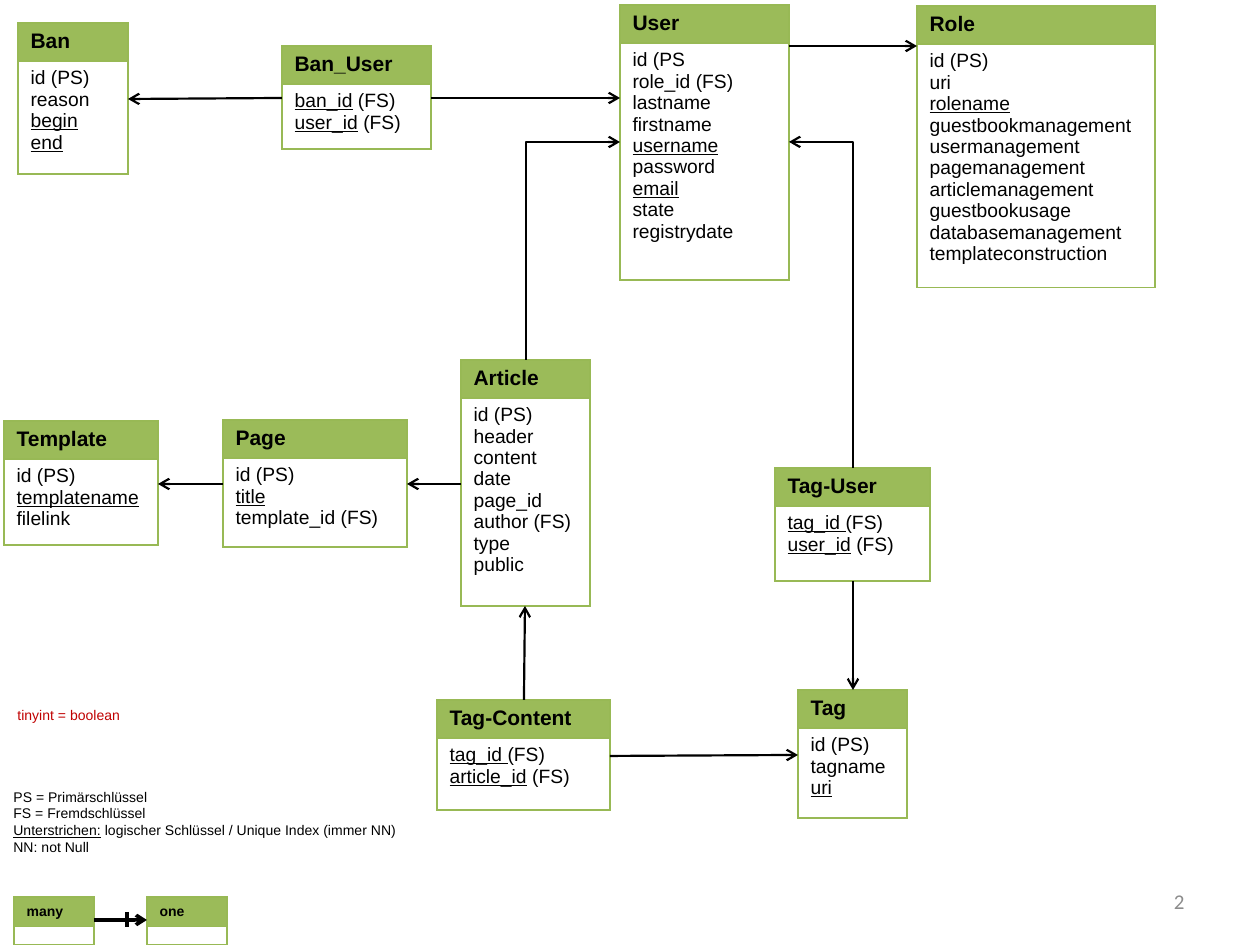
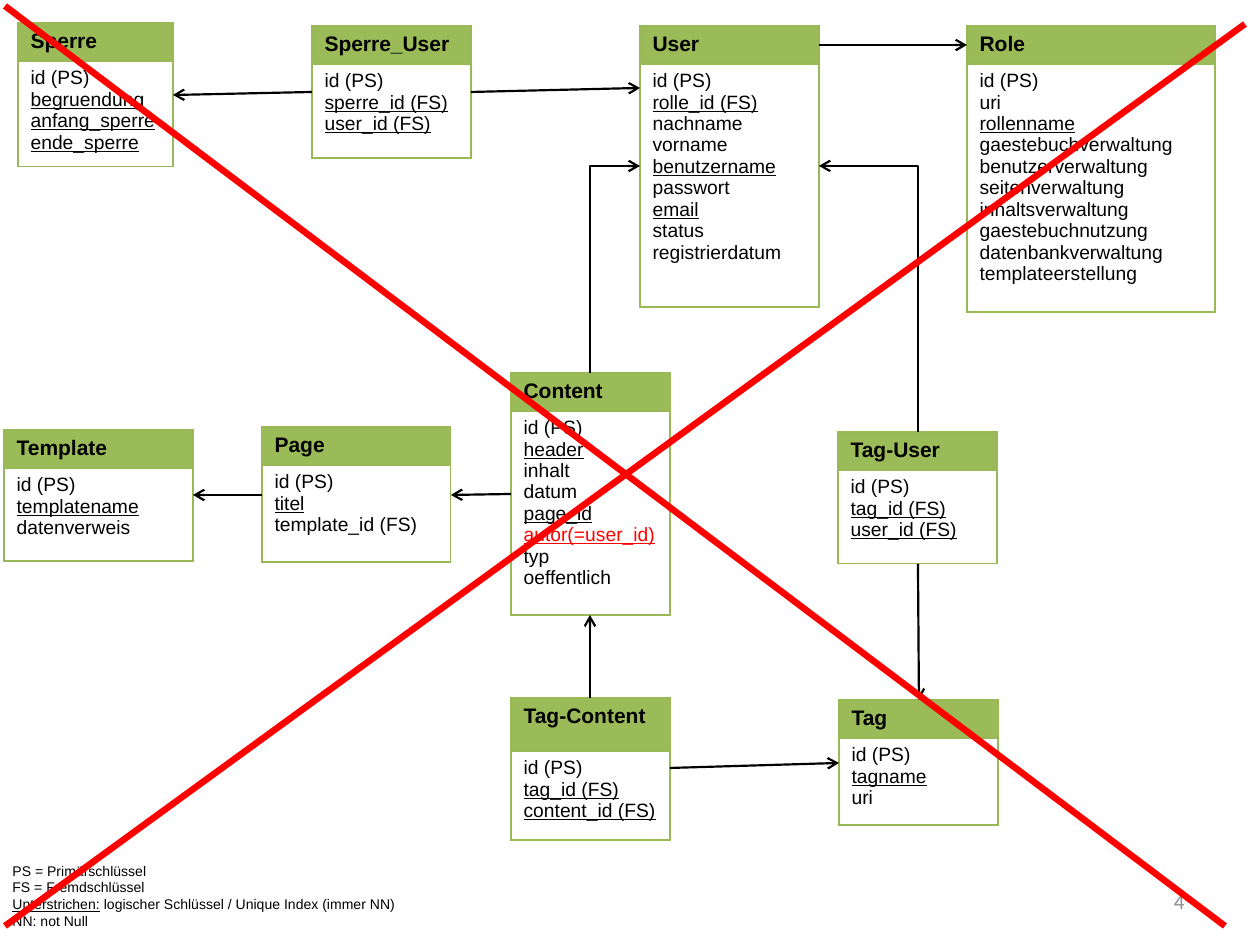
from pptx import Presentation, util as u
from pptx.dml.color import RGBColor
from pptx.enum import shapes, text
from pptx.oxml.ns import qn
from lxml import etree

SCALE = 914400 // 126  # EMU per pixel
COLORS = {"header": "9BBB59", "border": "98B955", "ink": "000000", "note": "C00000",
          "red": "FF0000", "number": "8C8C8C"}
HEADER = 38
KEY_TEXT = ["PS = Primärschlüssel", "FS = Fremdschlüssel",
            "*Unterstrichen:* logischer Schlüssel / Unique Index (immer NN)", "NN: not Null"]


def px(*lengths):
    return [u.Emu(round(length * SCALE)) for length in lengths]


def color(name):
    return RGBColor.from_string(COLORS[name])


# ---- Text: *stars* underline, a leading ! turns the line red ----
def write(frame, lines, size, ink="ink", font="Arial", bold=False, align=None):
    for index, line in enumerate(lines):
        paragraph = frame.paragraphs[0] if index == 0 else frame.add_paragraph()
        paragraph.alignment = align
        line_ink = "red" if line.startswith("!") else ink
        for part, words in enumerate(line.lstrip("!").split("*")):
            if not words:
                continue
            run = paragraph.add_run()
            run.text = words
            formats = {"name": font, "size": u.Pt(size), "bold": bold,
                       "underline": part % 2 == 1}
            for key, value in formats.items():
                setattr(run.font, key, value)
            run.font.color.rgb = color(line_ink)


def add_text(slide, box, lines, size, wrap=True, anchor=text.MSO_ANCHOR.TOP, **formats):
    frame = slide.shapes.add_textbox(*px(*box)).text_frame
    frame.word_wrap = wrap
    frame.vertical_anchor = anchor
    write(frame, lines, size, **formats)


# ---- Lines ----
def add_line(parent, start, end, ink="ink", width=1.25, arrow=True,
             kind=shapes.MSO_CONNECTOR.STRAIGHT):
    line = parent.shapes.add_connector(kind, *px(*start, *end))
    line.line.width = u.Pt(width)
    line.line.color.rgb = color(ink)
    properties = line._element.spPr
    if arrow:
        etree.SubElement(properties.find(qn("a:ln")), qn("a:tailEnd"), type="arrow")
    etree.SubElement(properties, qn("a:effectLst"))
    return line


def add_corner(slide, start, end):
    """One bend, up and then sideways: a quarter-turned two-part connector."""
    middle_x, middle_y = (start[0] + end[0]) / 2, (start[1] + end[1]) / 2
    run, rise = (end[0] - start[0]) / 2, (start[1] - end[1]) / 2
    line = add_line(slide, (middle_x - rise, middle_y - run), (middle_x + rise, middle_y + run),
                    kind=shapes.MSO_CONNECTOR.ELBOW)
    properties = line._element.spPr
    properties.find(qn("a:xfrm")).set("rot", "16200000")
    properties.find(qn("a:prstGeom")).set("prst", "bentConnector2")


def link(slide, source, target, kind, first, second):
    """Join facing edges; first and second are the free coordinates at each end."""
    left, top, width, height = source
    to_left, to_top, to_width, to_height = target
    rightward, downward = to_left > left, to_top > top
    start_x, end_x = (left + width, to_left) if rightward else (left, to_left + to_width)
    start_y, end_y = (top + height, to_top) if downward else (top, to_top + to_height)
    if kind == "across":
        add_line(slide, (start_x, first), (end_x, second))
    elif kind == "upright":
        add_line(slide, (first, start_y), (second, end_y))
    else:
        add_corner(slide, (first, top), (end_x, second))


# ---- Entity: a table with a name row and a field row ----
def add_borders(cell):
    properties = cell._tc.get_or_add_tcPr()
    for index, side in enumerate(("lnL", "lnR", "lnT", "lnB")):
        border = etree.Element(qn("a:" + side), w=str(u.Pt(0.75)))
        fill = etree.SubElement(border, qn("a:solidFill"))
        etree.SubElement(fill, qn("a:srgbClr"), val=COLORS["border"])
        properties.insert(index, border)


def add_entity(slide, box, name, fields, header=HEADER, size=12):
    table = slide.shapes.add_table(2, 1, *px(*box)).table
    table.first_row = table.horz_banding = False
    table.rows[0].height, table.rows[1].height = px(header, box[3] - header)
    title, body = table.cell(0, 0), table.cell(1, 0)
    title.fill.solid()
    title.fill.fore_color.rgb = color("header")
    body.fill.background()
    write(title.text_frame, [name], size, bold=True)
    if fields:
        write(body.text_frame, fields, 11)
    else:
        body.margin_top = body.margin_bottom = 0
        etree.SubElement(body.text_frame.paragraphs[0]._p, qn("a:endParaRPr"), sz="400")
    for cell in (title, body):
        add_borders(cell)


# ---- Slide parts ----
def add_diagram(slide, entities, links):
    for name, (box, fields, *header) in entities.items():
        add_entity(slide, box, name, fields, *header)
    for source, target, *route in links:
        link(slide, entities[source][0], entities[target][0], *route)


def add_cardinality(slide, left, top):
    width, gap, height, header = 80, 53, 47, 29
    for index, name in enumerate(("many", "one")):
        box = (left + index * (width + gap), top, width, height)
        add_entity(slide, box, name, [], header, 8)
    middle, start = top + 23, left + width
    add_line(slide, (start, middle), (start + gap, middle), width=2,
             kind=shapes.MSO_CONNECTOR.ELBOW)
    add_line(slide, (start + 33, middle - 8), (start + 33, middle + 7), width=2, arrow=False)


def add_cross(slide):
    group = slide.shapes.add_group_shape()
    for start, end in (((5, 6), (1225, 926)), ((5, 926), (1245, 24))):
        line = group.shapes.add_connector(shapes.MSO_CONNECTOR.STRAIGHT, *px(*start, *end))
        line.line.width = u.Pt(3.75)
        line.line.color.rgb = color("red")
        etree.SubElement(line._element.spPr, qn("a:effectLst"))


def add_schema_slide(presentation, number, entities, links, key_box):
    slide = presentation.slides.add_slide(presentation.slide_layouts[6])
    add_text(slide, (903, 876, 294, 50), [number], 12, anchor=text.MSO_ANCHOR.MIDDLE,
             ink="number", font="Calibri", align=text.PP_ALIGN.RIGHT)
    add_diagram(slide, entities, links)
    add_text(slide, key_box, KEY_TEXT, 8)
    return slide


# ---- Current schema ----
ENTITIES = {
    "Ban_User": ((282, 46, 149, 103), ["*ban_id* (FS)", "*user_id* (FS)"]),
    "Ban": ((18, 23, 110, 151), ["id (PS)", "reason", "*begin*", "*end*"]),
    "User": ((620, 5, 169, 275), ["id (PS", "role_id (FS)", "lastname", "firstname", "*username*",
                                  "password", "*email*", "state", "registrydate"]),
    "Role": ((917, 6, 238, 281), ["id (PS)", "uri", "*rolename*", "guestbookmanagement",
                                  "usermanagement", "pagemanagement", "articlemanagement",
                                  "guestbookusage", "databasemanagement",
                                  "templateconstruction"]),
    "Article": ((461, 360, 129, 246), ["id (PS)", "header", "content", "date", "page_id",
                                       "author (FS)", "type", "public"]),
    "Page": ((223, 420, 184, 127), ["id (PS)", "*title*", "template_id (FS)"]),
    "Template": ((4, 421, 154, 124), ["id (PS)", "*templatename*", "filelink"]),
    "Tag-User": ((775, 468, 155, 113), ["*tag_id *(FS)", "*user_id* (FS)"]),
    "Tag-Content": ((437, 700, 173, 110), ["*tag_id *(FS)", "*article_id* (FS)"]),
    "Tag": ((798, 690, 109, 128), ["id (PS)", "tagname", "*uri*"]),
}
LINKS = [
    ("Ban_User", "User", "across", 98, 98),
    ("User", "Role", "across", 46, 46),
    ("Tag-User", "User", "corner", 853, 142),
    ("Tag-User", "Tag", "upright", 853, 853),
    ("Tag-Content", "Tag", "across", 756, 755),
    ("Tag-Content", "Article", "upright", 524, 525),
    ("Article", "User", "corner", 526, 142),
    ("Article", "Page", "across", 484, 484),
    ("Page", "Template", "across", 484, 484),
    ("Ban_User", "Ban", "across", 98, 99),
]

# ---- Discarded schema ----
OLD_ENTITIES = {
    "Sperre_User": ((312, 26, 159, 132), ["id (PS)", "*sperre_id (FS)*", "*user_id (FS)*"]),
    "Sperre": ((18, 23, 155, 143), ["id (PS)", "*begruendung*", "*anfang_sperre*",
                                    "*ende_sperre*"]),
    "User": ((640, 26, 179, 281), ["id (PS)", "*rolle_id (FS)*", "nachname", "vorname",
                                   "*benutzername*", "passwort", "*email*", "status",
                                   "registrierdatum"]),
    "Role": ((967, 26, 248, 286), ["id (PS)", "uri", "*rollenname*", "gaestebuchverwaltung",
                                   "benutzerverwaltung", "seitenverwaltung",
                                   "inhaltsverwaltung", "gaestebuchnutzung",
                                   "datenbankverwaltung", "templateerstellung"]),
    "Content": ((511, 373, 159, 242), ["id (PS)", "*header*", "inhalt", "datum", "*page_id*",
                                       "!*autor(=user_id)*", "typ", "oeffentlich"]),
    "Page": ((262, 427, 189, 135), ["id (PS)", "*titel*", "template_id (FS)"]),
    "Template": ((4, 430, 189, 131), ["id (PS)", "*templatename*", "datenverweis"]),
    "Tag-User": ((838, 432, 159, 132), ["id (PS)", "*tag_id (FS)*", "*user_id (FS)*"]),
    "Tag-Content": ((511, 698, 159, 142), ["id (PS)", "*tag_id (FS)*", "*content_id (FS)*"], 53),
    "Tag": ((839, 700, 159, 125), ["id (PS)", "*tagname*", "uri"]),
}
OLD_LINKS = [
    ("Sperre_User", "User", "across", 92, 88),
    ("User", "Role", "across", 45, 45),
    ("Tag-User", "User", "corner", 918, 166),
    ("Tag-User", "Tag", "upright", 918, 919),
    ("Tag-Content", "Tag", "across", 768, 763),
    ("Tag-Content", "Content", "upright", 590, 590),
    ("Content", "User", "corner", 590, 166),
    ("Content", "Page", "across", 494, 495),
    ("Page", "Template", "across", 495, 495),
    ("Sperre_User", "Sperre", "across", 92, 95),
]

presentation = Presentation()
presentation.slide_width, presentation.slide_height = px(1260, 945)

current = add_schema_slide(presentation, "2", ENTITIES, LINKS, (1, 782, 422, 81))
add_cardinality(current, 14, 897)
add_text(current, (5, 700, 134, 30), ["tinyint = boolean"], 8, wrap=False, ink="note")

discarded = add_schema_slide(presentation, "4", OLD_ENTITIES, OLD_LINKS, (0, 856, 422, 81))
add_cross(discarded)

presentation.save("out.pptx")
